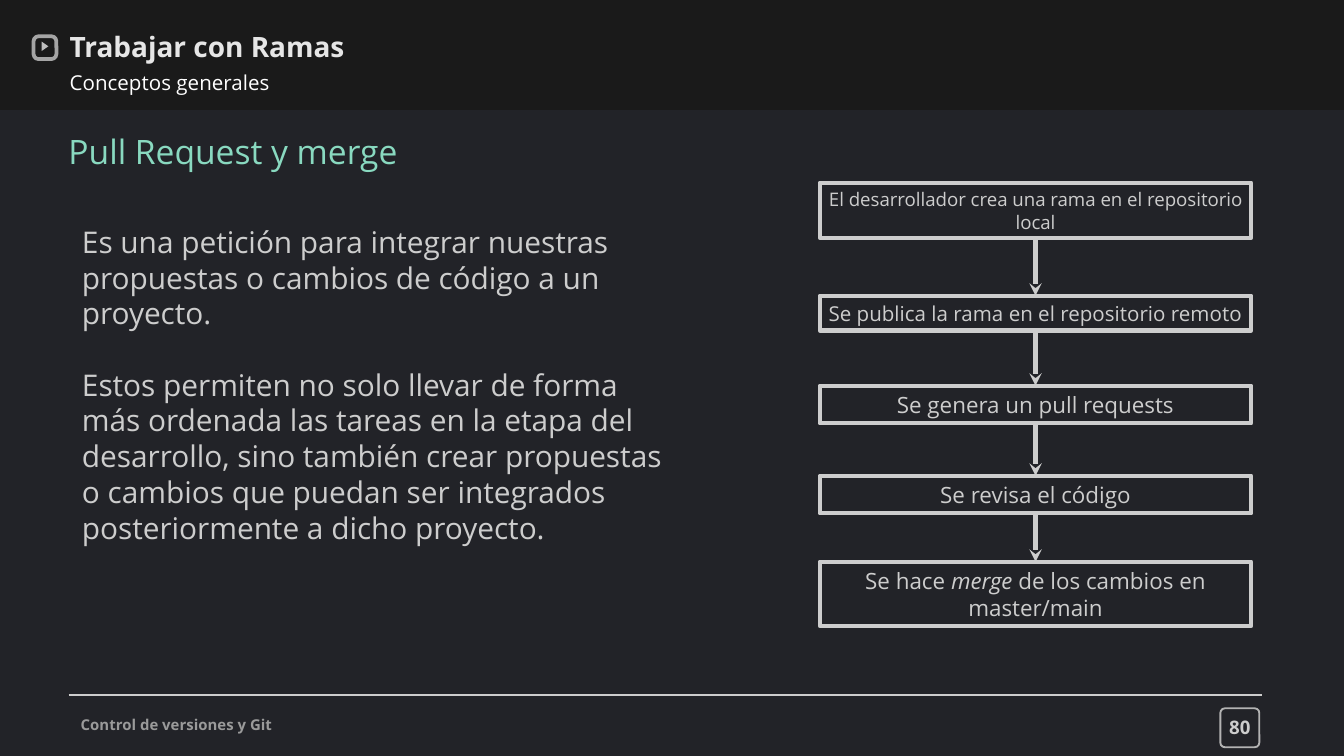
from itertools import pairwise

from lxml.etree import SubElement
from pptx import Presentation
from pptx.dml.color import RGBColor
from pptx.enum.shapes import MSO_CONNECTOR, MSO_SHAPE
from pptx.enum.text import MSO_ANCHOR, PP_ALIGN
from pptx.oxml.ns import qn
from pptx.util import Inches, Pt

FONT = "Open Sans"
BLACK = "1A1A1A"
PANEL = "222328"
LIGHT = "CDCDCD"
WHITE = "FFFFFF"
TITLE = "E6E6E6"
ICON = "A5A5A5"
BORDER = "B3B3B3"
MUTED = "9A9A9A"
MINT = "89D9C0"

SLIDE_WIDTH = 10
SLIDE_HEIGHT = SLIDE_WIDTH * 9 / 16
FLOW_LEFT, FLOW_WIDTH = 6.1, 3.21
STEPS = [
    (1.36, 0.41, 10, ["El desarrollador crea una rama en el repositorio local"]),
    (2.2, 0.26, 11, ["Se publica la rama en el repositorio remoto"]),
    (2.87, 0.28, 12, ["Se genera un pull requests"]),
    (3.54, 0.28, 12, ["Se revisa el código"]),
    (4.18, 0.48, 12, ["Se hace ", "merge", " de los cambios en master/main"]),
]
BODY = [
    "Es una petición para integrar nuestras propuestas o cambios de código a un proyecto.",
    "Estos permiten no solo llevar de forma más ordenada las tareas en la etapa del "
    "desarrollo, sino también crear propuestas o cambios que puedan ser integrados "
    "posteriormente a dicho proyecto.",
]


def color(value):
    return RGBColor.from_string(value)


class SlideBuilder:
    def __init__(self, slide):
        self.slide = slide

    def frame(self, shape, inset, anchor):
        text_frame = shape.text_frame
        text_frame.word_wrap = True
        text_frame.vertical_anchor = anchor
        text_frame.margin_left = text_frame.margin_right = Inches(inset)
        text_frame.margin_top = text_frame.margin_bottom = Inches(inset)
        return text_frame

    def format(self, paragraph, size, ink, bold=False, align=PP_ALIGN.LEFT):
        paragraph.alignment = align
        for run in paragraph.runs:
            run.font.name = FONT
            run.font.size = Pt(size)
            run.font.bold = bold
            run.font.color.rgb = color(ink)

    def text(self, box, paragraphs, size, ink, inset=0, anchor=MSO_ANCHOR.MIDDLE,
             bold=False, align=PP_ALIGN.LEFT, gap=0, spacing=None):
        shape = self.slide.shapes.add_textbox(*map(Inches, box))
        text_frame = self.frame(shape, inset, anchor)
        text_frame.text = "\n".join(paragraphs)
        for index, paragraph in enumerate(text_frame.paragraphs):
            self.format(paragraph, size, ink, bold, align)
            if index:
                paragraph.space_before = Pt(gap)
            if spacing:
                paragraph.line_spacing = spacing

    def shape(self, kind, box, fill=None, line=None, width=1, corner=None, rotation=0):
        shape = self.slide.shapes.add_shape(kind, *map(Inches, box))
        shape.shadow.inherit = False
        shape.rotation = rotation
        if corner is not None:
            shape.adjustments[0] = corner
        if fill:
            shape.fill.solid()
            shape.fill.fore_color.rgb = color(fill)
        else:
            shape.fill.background()
        if line:
            shape.line.color.rgb = color(line)
            shape.line.width = Pt(width)
        else:
            shape.line.fill.background()
        return shape

    def step(self, top, height, size, parts):
        box = (FLOW_LEFT, top, FLOW_WIDTH, height)
        shape = self.shape(MSO_SHAPE.RECTANGLE, box, line=LIGHT, width=2.25)
        paragraph = self.frame(shape, 0.04, MSO_ANCHOR.TOP).paragraphs[0]
        for part in parts:
            run = paragraph.add_run()
            run.text = part
            run.font.italic = part == "merge"
        self.format(paragraph, size, LIGHT, align=PP_ALIGN.CENTER)

    def line(self, start, end, width, arrow=False):
        connector = self.slide.shapes.add_connector(
            MSO_CONNECTOR.STRAIGHT, *map(Inches, start + end))
        connector.line.color.rgb = color(LIGHT)
        connector.line.width = Pt(width)
        properties = connector._element.spPr
        if arrow:
            SubElement(properties.find(qn("a:ln")), qn("a:tailEnd"), type="stealth")
        SubElement(properties, qn("a:effectLst"))


def main():
    presentation = Presentation()
    presentation.slide_width = Inches(SLIDE_WIDTH)
    presentation.slide_height = Inches(SLIDE_HEIGHT)
    builder = SlideBuilder(presentation.slides.add_slide(presentation.slide_layouts[6]))

    builder.shape(MSO_SHAPE.RECTANGLE, (-0.05, -0.04, 10.09, 5.68), BLACK, TITLE, 2)
    builder.shape(MSO_SHAPE.RECTANGLE, (-0.05, 0.82, 10.09, 4.82), PANEL)

    builder.shape(MSO_SHAPE.ROUNDED_RECTANGLE, (0.25, 0.27, 0.17, 0.17),
                  line=ICON, width=2, corner=0.22)
    builder.shape(MSO_SHAPE.ISOSCELES_TRIANGLE, (0.3, 0.32, 0.07, 0.05), "BDBDBD", rotation=90)
    builder.text((0.42, 0.12, 5.8, 0.41), ["Trabajar con Ramas"], 15, TITLE,
                 inset=0.1, anchor=MSO_ANCHOR.TOP, bold=True)
    builder.text((0.42, 0.43, 8.41, 0.33), ["Conceptos generales"], 11, WHITE,
                 inset=0.1, anchor=MSO_ANCHOR.TOP)

    builder.text((0.51, 0.85, 4.74, 0.61), ["Pull Request y merge"], 18, MINT, spacing=0.8)
    builder.text((0.61, 1.94, 4.39, 1.84), BODY, 16, LIGHT, gap=19)

    for step in STEPS:
        builder.step(*step)
    center = FLOW_LEFT + FLOW_WIDTH / 2
    for (top, height, *_), (next_top, *_) in pairwise(STEPS):
        builder.line((center, top + height), (center, next_top), 2.25, arrow=True)

    builder.line((0.51, 5.17), (9.39, 5.17), 1)
    builder.text((0.6, 5.3, 2.31, 0.18), ["Control de versiones y Git"], 8, MUTED, bold=True)
    builder.shape(MSO_SHAPE.ROUNDED_RECTANGLE, (9.08, 5.27, 0.29, 0.29),
                  line=BORDER, corner=0.12)
    builder.text((9.01, 5.24, 0.43, 0.37), ["80"], 10, LIGHT, inset=0.1,
                 anchor=MSO_ANCHOR.TOP, bold=True, align=PP_ALIGN.CENTER)

    presentation.save("out.pptx")


if __name__ == "__main__":
    main()
